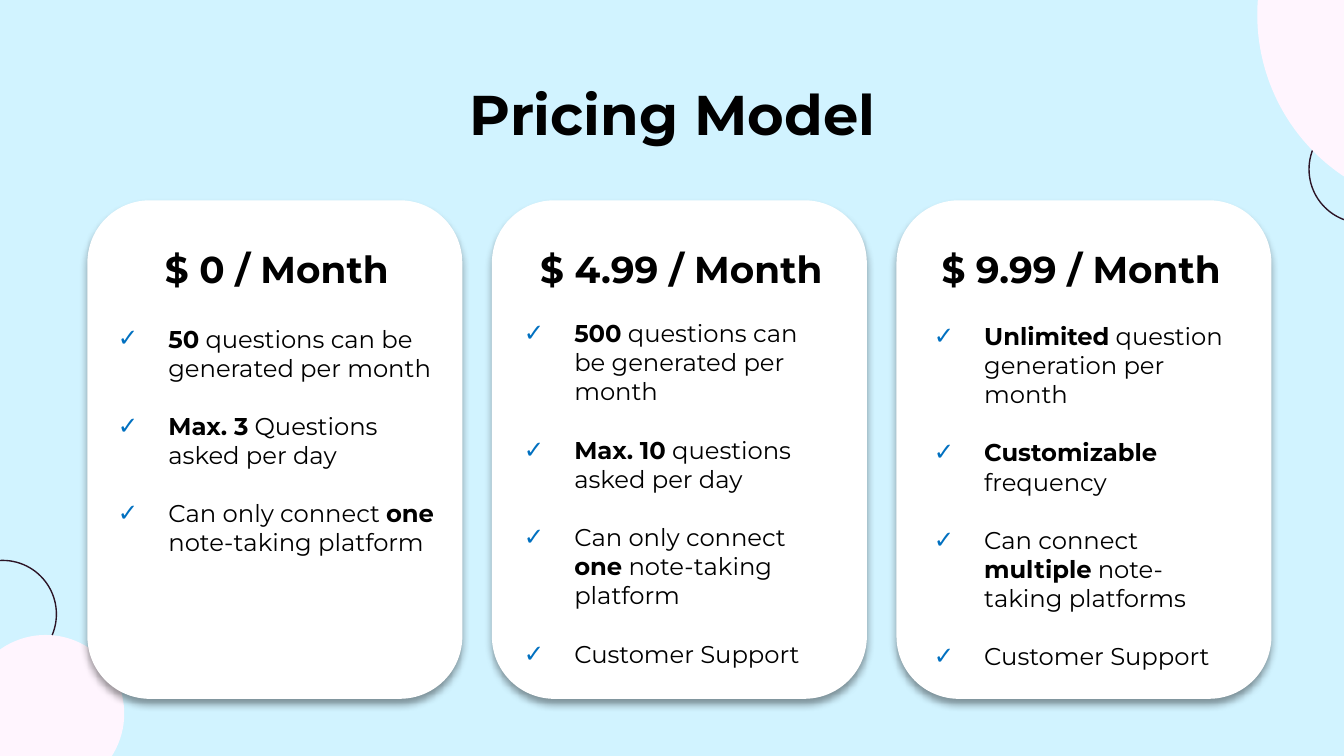
"""Build a pricing slide with three plan cards."""
from lxml.etree import SubElement
from pptx import Presentation
from pptx.dml.color import RGBColor
from pptx.enum.shapes import MSO_SHAPE as SHAPE
from pptx.enum.text import MSO_ANCHOR as ANCHOR, MSO_AUTO_SIZE as AUTO, PP_ALIGN as ALIGN
from pptx.oxml.ns import qn
from pptx.util import Inches, Pt

FONT = "Montserrat"
BLACK = RGBColor(0x00, 0x00, 0x00)
WHITE = RGBColor(0xFF, 0xFF, 0xFF)
SKY = RGBColor(0xD1, 0xF3, 0xFF)
PINK = RGBColor(0xFF, 0xF5, 0xFE)
PLUM = RGBColor(0x2C, 0x14, 0x26)
BLUE = RGBColor(0x00, 0x70, 0xC0)

TITLE = "Pricing Model"
PLANS = [
    {"price": "$ 0 / Month",
     "price_box": (1.07, 1.78, 1.98, 0.44), "list_box": (0.78, 2.36, 2.57, 2.07),
     "features": ["*50* questions can be generated per month",
                  "*Max. 3* Questions asked per day",
                  "Can only connect *one* note-taking platform"]},
    {"price": "$ 4.99 / Month",
     "price_box": (3.87, 1.78, 2.4, 0.44), "list_box": (3.8, 2.32, 2.47, 2.73),
     "features": ["*500* questions can be generated per month",
                  "*Max. 10* questions asked per day",
                  "Can only connect *one* note-taking platform",
                  "Customer Support"]},
    {"price": "$ 9.99 / Month",
     "price_box": (6.88, 1.78, 2.33, 0.44), "list_box": (6.85, 2.34, 2.47, 2.73),
     "features": ["*Unlimited* question generation per month",
                  "*Customizable* frequency",
                  "Can connect *multiple* note-taking platforms",
                  "Customer Support"]},
]
CIRCLES = [
    (9.74, 0.86, 0.8, None, PLUM),
    (-0.38, 4.17, 0.8, None, PLUM),
    (9.36, -1.33, 2.88, PINK, PINK),
    (-0.24, 4.73, 1.16, PINK, PINK),
]
CARD_LEFT, CARD_TOP, CARD_W, CARD_H, CARD_PITCH = 0.65, 1.49, 2.79, 3.71, 3.01
INDENT = Pt(27)


def style_run(r, size, bold):
    r.font.name, r.font.size, r.font.bold = FONT, Pt(size), bold
    r.font.color.rgb = BLACK


def add_circle(slide, left, top, size, fill, line):
    sp = slide.shapes.add_shape(SHAPE.OVAL, *map(Inches, (left, top, size, size)))
    sp.shadow.inherit = False
    if fill is None:
        sp.fill.background()
    else:
        sp.fill.solid()
        sp.fill.fore_color.rgb = fill
    sp.line.color.rgb = line
    sp.line.width = Pt(0.75)


def add_card(slide, left):
    box = map(Inches, (left, CARD_TOP, CARD_W, CARD_H))
    sp = slide.shapes.add_shape(SHAPE.ROUNDED_RECTANGLE, *box)
    sp.fill.solid()
    sp.fill.fore_color.rgb = WHITE
    sp.line.fill.background()
    sp.shadow.inherit = False
    effects = sp._element.spPr.find(qn("a:effectLst"))
    shadow = SubElement(effects, qn("a:outerShdw"), blurRad=str(Pt(4)), dist=str(Pt(3)),
                        dir="5400000", algn="t", rotWithShape="0")
    color = SubElement(shadow, qn("a:srgbClr"), val=str(BLACK))
    SubElement(color, qn("a:alpha"), val="40000")


def add_text(slide, box):
    tf = slide.shapes.add_textbox(*map(Inches, box)).text_frame
    tf.word_wrap = True
    return tf


def add_price(slide, box, price):
    p = add_text(slide, box).paragraphs[0]
    p.text = price
    p.alignment = ALIGN.CENTER
    style_run(p.runs[0], 20, True)


def add_check(p):
    pPr = p._p.get_or_add_pPr()
    pPr.set("marL", str(INDENT))
    pPr.set("indent", str(-INDENT))
    SubElement(SubElement(pPr, qn("a:buClr")), qn("a:srgbClr"), val=str(BLUE))
    SubElement(pPr, qn("a:buFont"), typeface=FONT)
    SubElement(pPr, qn("a:buChar"), char="✓")


def add_features(slide, box, features):
    tf = add_text(slide, box)
    for i, feature in enumerate(features):
        p = tf.add_paragraph() if i else tf.paragraphs[0]
        add_check(p)
        if i:
            p.space_before = Pt(15.6)
        for j, part in enumerate(feature.split("*")):
            if part:
                r = p.add_run()
                r.text = part
                style_run(r, 13, j % 2 == 1)


def add_title(slide):
    sp = slide.shapes.title
    sp.left, sp.top, sp.width, sp.height = map(Inches, (0.79, 0.49, 8.43, 0.63))
    tf = sp.text_frame
    tf.text = TITLE
    tf.auto_size = AUTO.NONE
    tf.vertical_anchor = ANCHOR.TOP
    tf.margin_left = tf.margin_right = tf.margin_top = tf.margin_bottom = Inches(0.1)
    p = tf.paragraphs[0]
    p.alignment = ALIGN.CENTER
    style_run(p.runs[0], 30, True)


def main():
    prs = Presentation()
    prs.slide_width = Inches(10)
    prs.slide_height = prs.slide_width * 9 // 16
    slide = prs.slides.add_slide(prs.slide_layouts[5])
    slide.background.fill.solid()
    slide.background.fill.fore_color.rgb = SKY
    add_title(slide)
    for circle in CIRCLES:
        add_circle(slide, *circle)
    for i, plan in enumerate(PLANS):
        add_card(slide, CARD_LEFT + i * CARD_PITCH)
        add_price(slide, plan["price_box"], plan["price"])
        add_features(slide, plan["list_box"], plan["features"])
    prs.save("out.pptx")


if __name__ == "__main__":
    main()
